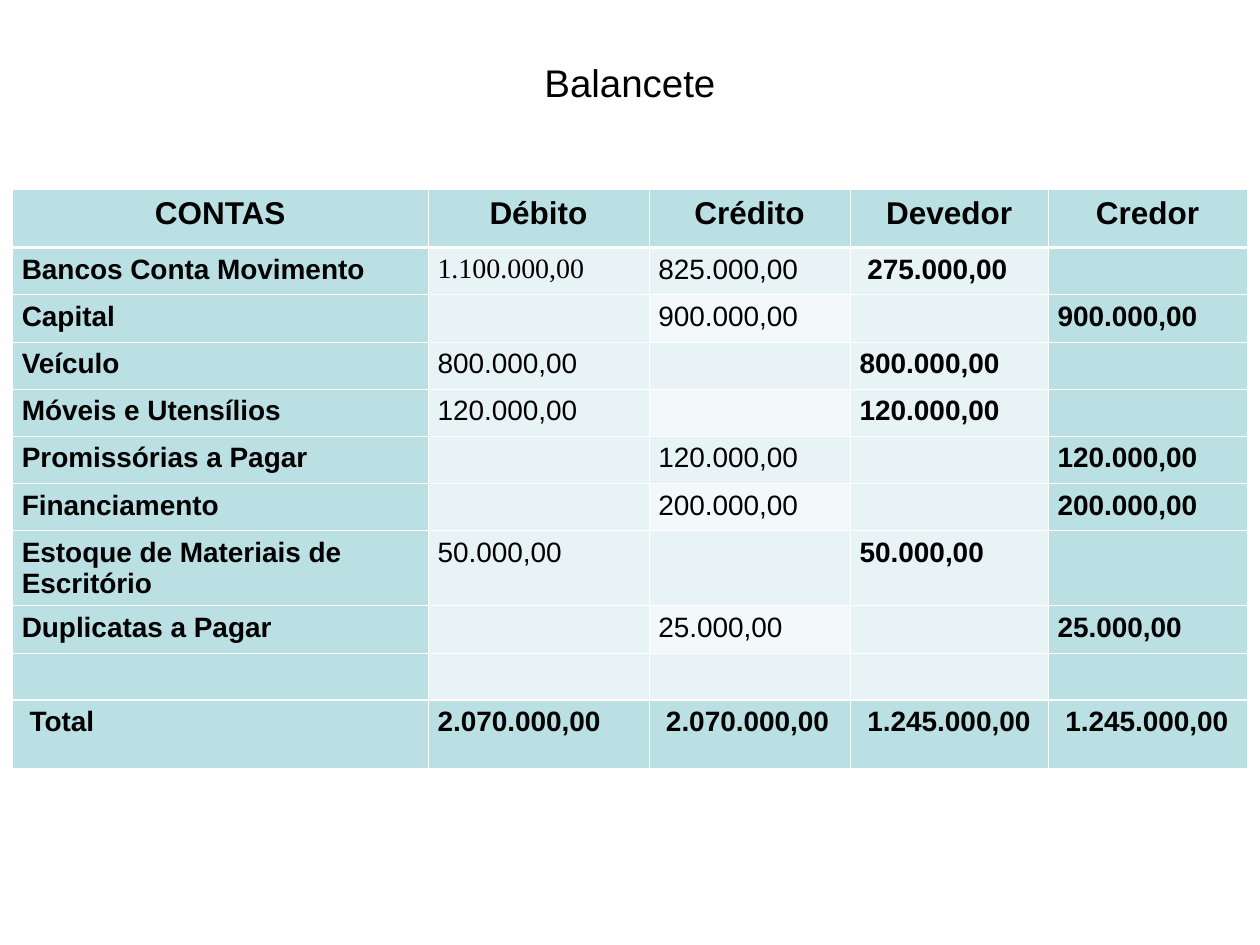
from dataclasses import dataclass
from itertools import product

from lxml.etree import SubElement
from pptx import Presentation
from pptx.dml.color import RGBColor
from pptx.enum.text import PP_ALIGN
from pptx.oxml.ns import qn
from pptx.util import Cm, Pt


@dataclass(frozen=True)
class Theme:
    ink: str = "000000"
    rule: str = "FFFFFF"
    strong: str = "BBE0E3"
    light: str = "E7F3F4"
    pale: str = "F3F9FA"
    font: str = "Arial"
    serif: str = "Times New Roman"
    title: int = 22
    header: int = 18
    body: int = 16
    thin: float = 0.45
    thick: float = 1.47


THEME = Theme()

BALANCE = [
    ["CONTAS", "Débito", "Crédito", "Devedor", "Credor"],
    ["Bancos Conta Movimento", "1.100.000,00", "825.000,00", " 275.000,00", ""],
    ["Capital", "", "900.000,00", "", "900.000,00"],
    ["Veículo", "800.000,00", "", "800.000,00", ""],
    ["Móveis e Utensílios", "120.000,00", "", "120.000,00", ""],
    ["Promissórias a Pagar", "", "120.000,00", "", "120.000,00"],
    ["Financiamento", "", "200.000,00", "", "200.000,00"],
    ["Estoque de Materiais de Escritório", "50.000,00", "", "50.000,00", ""],
    ["Duplicatas a Pagar", "", "25.000,00", "", "25.000,00"],
    ["", "", "", "", ""],
    [" Total", "2.070.000,00", " 2.070.000,00", " 1.245.000,00", " 1.245.000,00"],
]
COL_WIDTHS = [8.38, 4.45, 4.06, 3.99, 4.01]
ROW_HEIGHTS = [1.18] + [0.88] * 6 + [1.5, 0.88, 0.88, 1.37]


def set_attrs(obj, formats):
    for name, value in formats.items():
        setattr(obj, name, value)


def write(p, text, size, font=THEME.font, bold=False):
    if not text:
        p._p.get_or_add_endParaRPr().set("sz", str(size * 100))
        return
    r = p.add_run()
    r.text = text
    set_attrs(r.font, {"size": Pt(size), "name": font, "bold": bold})
    r.font.color.rgb = RGBColor.from_string(THEME.ink)


def add_border(cell, side, width):
    ln = SubElement(cell._tc.get_or_add_tcPr(), qn(f"a:{side}"), w=str(Pt(width)))
    fill = SubElement(ln, qn("a:solidFill"))
    SubElement(fill, qn("a:srgbClr"), val=THEME.rule)


def add_title(slide, left, top, width, height):
    tf = slide.shapes.add_textbox(Cm(left), Cm(top), Cm(width), Cm(height)).text_frame
    tf.word_wrap = True
    p = tf.paragraphs[0]
    p.alignment = PP_ALIGN.CENTER
    write(p, "Balancete", THEME.title)


def cell_fill(row, col, last):
    if row in (0, last) or col in (0, 4):
        return THEME.strong
    return THEME.pale if col == 2 and row % 2 == 0 else THEME.light


def add_balance(slide, left, top):
    rows, cols = len(BALANCE), len(COL_WIDTHS)
    last = rows - 1
    table = slide.shapes.add_table(
        rows, cols, Cm(left), Cm(top), Cm(sum(COL_WIDTHS)), Cm(sum(ROW_HEIGHTS))
    ).table
    for column, width in zip(table.columns, COL_WIDTHS):
        column.width = Cm(width)
    for line, height in zip(table.rows, ROW_HEIGHTS):
        line.height = Cm(height)

    margins = {
        "margin_left": Cm(0.19), "margin_right": Cm(0.19),
        "margin_top": Cm(0.13), "margin_bottom": Cm(0.13),
    }
    for row, col in product(range(rows), range(cols)):
        cell = table.cell(row, col)
        set_attrs(cell, margins)
        thick_sides = {"lnT": row in (1, last), "lnB": row in (0, last - 1)}
        for side in ("lnL", "lnR", "lnT", "lnB"):
            add_border(cell, side, THEME.thick if thick_sides.get(side) else THEME.thin)
        cell.fill.solid()
        cell.fill.fore_color.rgb = RGBColor.from_string(cell_fill(row, col, last))

        p = cell.text_frame.paragraphs[0]
        p.alignment = PP_ALIGN.LEFT if row else PP_ALIGN.CENTER
        write(
            p,
            BALANCE[row][col],
            THEME.body if row else THEME.header,
            THEME.serif if (row, col) == (1, 1) else THEME.font,
            row in (0, last) or col not in (1, 2),
        )


def main():
    prs = Presentation()
    set_attrs(prs, {"slide_width": Cm(25.4), "slide_height": Cm(19.05)})
    slide = prs.slides.add_slide(prs.slide_layouts[6])
    add_balance(slide, 0.25, 3.81)
    add_title(slide, 1.27, 1.07, 22.86, 1.27)
    prs.save("out.pptx")


if __name__ == "__main__":
    main()
